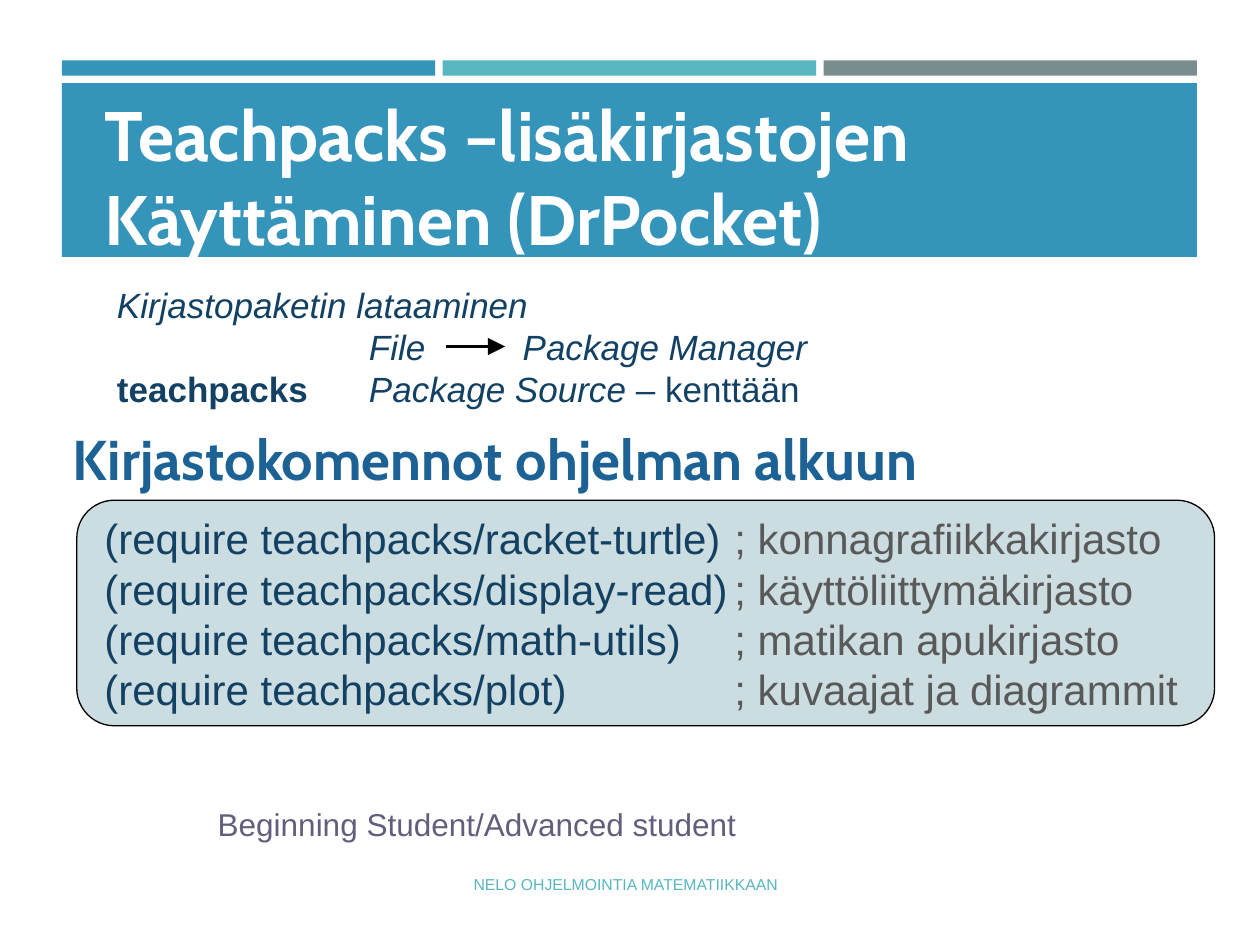
from lxml import etree
from pptx import Presentation
from pptx.dml.color import RGBColor
from pptx.enum import shapes, text
from pptx.oxml import ns
from pptx.util import Inches, Pt

BLUE = RGBColor(0x34, 0x94, 0xBA)
TEAL = RGBColor(0x58, 0xB6, 0xC0)
GREY = RGBColor(0x7A, 0x8C, 0x8E)
PALE = RGBColor(0xCC, 0xDD, 0xE1)
NAVY = RGBColor(0x12, 0x41, 0x63)
HEAD = RGBColor(0x1C, 0x62, 0x94)
NOTE = RGBColor(0x59, 0x59, 0x59)
PLUM = RGBColor(0x63, 0x5E, 0x7B)
WHITE = RGBColor(0xFF, 0xFF, 0xFF)
BLACK = RGBColor(0, 0, 0)

deck = Presentation()
deck.slide_width, deck.slide_height = Inches(10), Inches(7.5)
slide = deck.slides.add_slide(deck.slide_layouts[5])
title = slide.shapes.title


def block(kind, box, fill, line=None):
    """Add a filled shape; box is left, top, width, height in inches."""
    form = slide.shapes.add_shape(kind, *map(Inches, box))
    form.shadow.inherit = False
    form.fill.solid()
    form.fill.fore_color.rgb = fill
    if line is None:
        form.line.fill.background()
    else:
        form.line.color.rgb = line
        form.line.width = Pt(0.75)
    return form


def write(lines, box, size, color, font="Arial", bold=False, shape=None,
          align=text.PP_ALIGN.LEFT, anchor=text.MSO_ANCHOR.TOP, tabs=()):
    """Write lines of (text, overrides) runs; tabs are stops in inches."""
    if shape is None:
        shape = slide.shapes.add_textbox(0, 0, 0, 0)
    shape.left, shape.top, shape.width, shape.height = map(Inches, box)
    frame = shape.text_frame
    frame.word_wrap = True
    frame.auto_size = text.MSO_AUTO_SIZE.NONE
    frame.vertical_anchor = anchor
    for i, line in enumerate(lines):
        para = frame.add_paragraph() if i else frame.paragraphs[0]
        para.alignment = align
        para.line_spacing = 1.0
        para.space_before = Pt(0)
        if tabs:
            stops = etree.SubElement(para._p.get_or_add_pPr(), ns.qn("a:tabLst"))
            for stop in tabs:
                etree.SubElement(stops, ns.qn("a:tab"), pos=str(Inches(stop)), algn="l")
        for words, style in line:
            run = para.add_run()
            run.text = words
            run.font.name = font
            run.font.size = Pt(size)
            run.font.bold = style.get("bold", bold)
            run.font.italic = style.get("italic", False)
            run.font.color.rgb = style.get("color", color)


# Header band; the title goes in front of it
rect = shapes.MSO_SHAPE.RECTANGLE
gap = 0.06
wide = (9.01 - 2 * gap) / 3
for i, color in enumerate((BLUE, TEAL, GREY)):
    block(rect, (0.49 + i * (wide + gap), 0.48, wide, 0.12), color)
band = block(rect, (0.49, 0.66, 9.01, 1.38), BLUE)
band._element.addnext(title._element)
write([[("Teachpacks –lisäkirjastojen", {})], [("Käyttäminen (DrPocket)", {})]],
      (0.73, 1.06, 8.84, 0.66), 40, WHITE, font="Cabin", bold=True, shape=title,
      anchor=text.MSO_ANCHOR.MIDDLE)

# Loading the package
slant = {"italic": True}
write([[("Kirjastopaketin lataaminen", slant)],
       [("\tFile\tPackage Manager", slant)],
       [("teachpacks\t", {"bold": True}), ("Package Source", slant), (" – kenttään", {})]],
      (0.83, 2.2, 6.93, 1.45), 20, NAVY, tabs=(2, 3.22))
arrow = slide.shapes.add_connector(shapes.MSO_CONNECTOR.STRAIGHT, Inches(3.54),
                                   Inches(2.75), Inches(4.01), Inches(2.75))
arrow.line.color.rgb = BLACK
arrow.line.width = Pt(1.75)
etree.SubElement(arrow.line._get_or_add_ln(), ns.qn("a:tailEnd"),
                 type="triangle", w="lg", len="lg")
etree.SubElement(arrow._element.spPr, ns.qn("a:effectLst"))

# Library commands
write([[("Kirjastokomennot ohjelman alkuun", {})]], (0.48, 3.3, 8.51, 0.67), 32, HEAD,
      font="Cabin", bold=True, anchor=text.MSO_ANCHOR.MIDDLE)
block(shapes.MSO_SHAPE.ROUNDED_RECTANGLE, (0.61, 3.97, 9.03, 1.79), PALE, BLACK)
packs = [
    ("racket-turtle", "konnagrafiikkakirjasto"),
    ("display-read", "käyttöliittymäkirjasto"),
    ("math-utils", "matikan apukirjasto"),
    ("plot", "kuvaajat ja diagrammit"),
]
write([[(f"(require teachpacks/{name})\t", {}), (f"; {use}", {"color": NOTE})]
       for name, use in packs],
      (0.73, 4.02, 9.92, 0.91), 24, NAVY, tabs=(5,))

# Language level and footer
write([[("Beginning Student/Advanced student", {})]], (1.63, 6.34, 4.83, 0.43), 18, PLUM)
write([[("NELO OHJELMOINTIA MATEMATIIKKAAN", {})]], (0.94, 6.82, 5.33, 0.4), 9, TEAL,
      align=text.PP_ALIGN.RIGHT, anchor=text.MSO_ANCHOR.MIDDLE)

deck.save("out.pptx")
